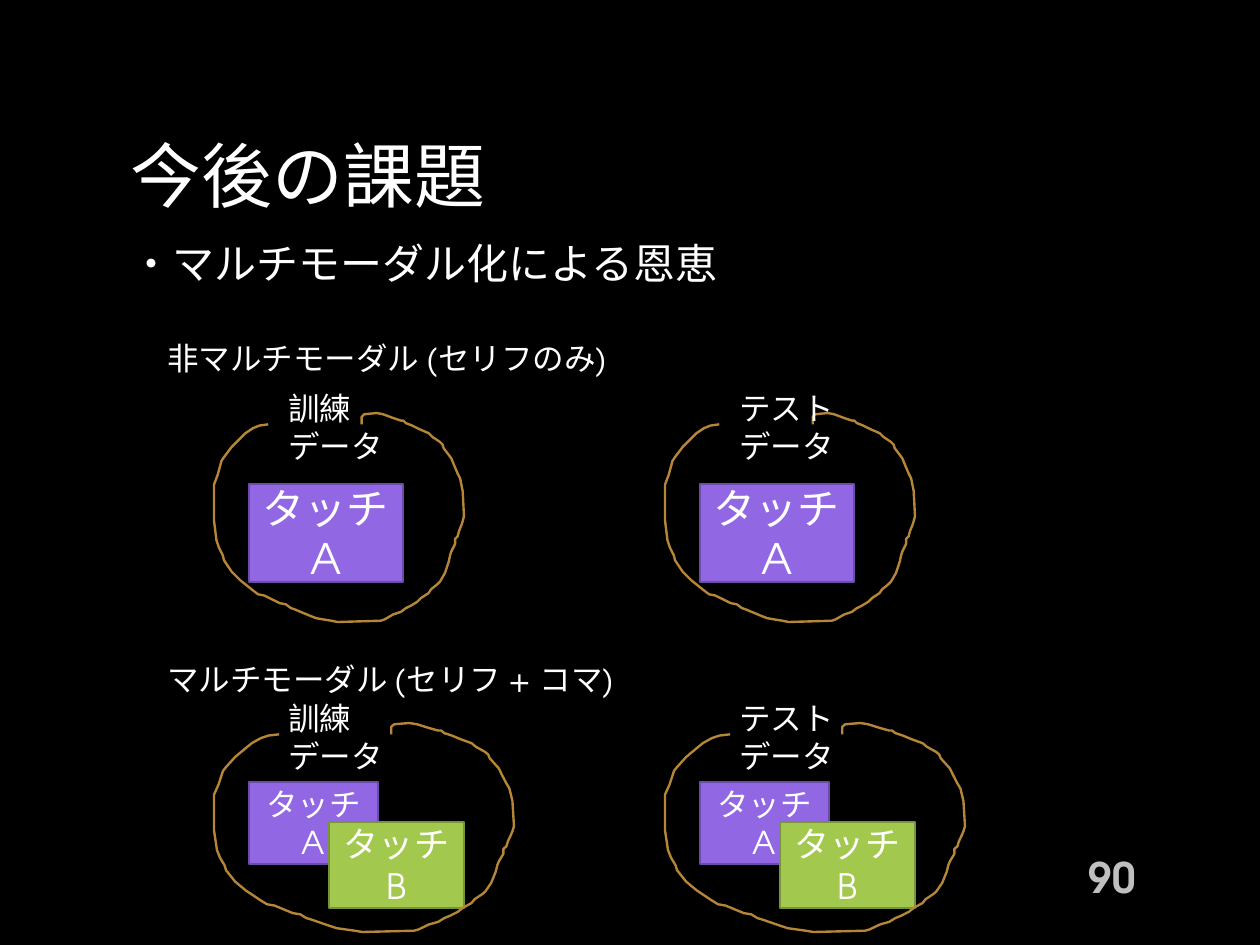
from dataclasses import dataclass

from pptx import Presentation, util as u
from pptx.dml.color import RGBColor
from pptx.enum import shapes, text

PX = u.Inches(1) / 126


@dataclass(frozen=True)
class Theme:
    font: str = "TeX Gyre Adventor"
    background: str = "000000"
    ink: str = "FFFFFF"
    number: str = "BFBFBF"
    ring: str = "B58637"
    violet: tuple = ("9167E3", "6B4CA8")
    green: tuple = ("A2C84E", "78943A")
    title_size: float = 40.5
    large: int = 24
    medium: int = 20
    small: int = 18
    line: float = 1.35


theme = Theme()


def write(shape, words, size, color=theme.ink, align=None, middle=False, bold=None):
    frame = shape.text_frame
    frame.word_wrap = True
    frame.vertical_anchor = text.MSO_ANCHOR.MIDDLE if middle else text.MSO_ANCHOR.TOP
    paragraph = frame.paragraphs[0]
    paragraph.text = words
    paragraph.alignment = align
    paragraph.font.name = theme.font
    paragraph.font.size = u.Pt(size)
    paragraph.font.bold = bold
    paragraph.font.color.rgb = RGBColor.from_string(color)


def emu(*lengths):
    return [round(length * PX) for length in lengths]


deck = Presentation()
deck.slide_width, deck.slide_height = emu(1260, 945)
slide = deck.slides.add_slide(deck.slide_layouts[6])
slide.background.fill.solid()
slide.background.fill.fore_color.rgb = RGBColor.from_string(theme.background)

title = slide.shapes.add_textbox(*emu(118, 118, 1023, 113))
write(title, "今後の課題", theme.title_size, middle=True)
page_number = slide.shapes.add_textbox(*emu(984, 852, 164, 50))
write(page_number, "90", theme.large, theme.number, text.PP_ALIGN.RIGHT, True, True)
lead = slide.shapes.add_textbox(*emu(118, 231, 1094, 63))
write(lead, "・マルチモーダル化による恩恵", theme.large)

# Hand-drawn open ring on a 198 x 166 grid
RING_GRID = (198, 166)
RING = [
    (43, 9), (36, 10), (31, 12), (25, 16), (20, 21), (14, 27), (8, 35), (6, 38),
    (3, 49), (0, 57), (0, 60), (0, 85), (2, 101), (4, 107), (7, 113), (8, 117),
    (10, 120), (14, 126), (16, 128), (21, 133), (31, 141), (35, 144), (40, 145),
    (52, 151), (57, 152), (61, 155), (64, 156), (76, 161), (81, 163), (87, 164),
    (93, 165), (98, 166), (132, 165), (135, 164), (142, 160), (148, 158),
    (152, 155), (156, 153), (161, 150), (164, 147), (170, 143), (172, 140),
    (177, 136), (179, 134), (183, 127), (186, 118), (187, 113), (188, 110),
    (191, 104), (191, 100), (193, 98), (194, 94), (196, 89), (197, 86), (198, 82),
    (197, 62), (195, 52), (193, 48), (190, 41), (188, 36), (185, 32), (182, 28),
    (181, 25), (179, 23), (176, 21), (173, 19), (170, 16), (163, 13), (157, 10),
    (152, 8), (150, 6), (148, 6), (142, 4), (134, 1), (129, 0), (119, 1),
    (117, 3), (117, 9),
]

# Each touch: words, colours, size, then its box relative to the ring
ROWS = [
    ("非マルチモーダル (セリフのみ)", 333, 413, 250,
     [("タッチ A", theme.violet, theme.large, (35, 71, 154, 98))]),
    ("マルチモーダル (セリフ + コマ)", 654, 723, 300,
     [("タッチ A", theme.violet, theme.small, (35, 59, 129, 82)),
      ("タッチ B", theme.green, theme.medium, (115, 99, 135, 86))]),
]
DATA_SETS = [("訓練データ", 214), ("テストデータ", 665)]

for heading_words, heading_top, ring_top, ring_width, touches in ROWS:
    heading = slide.shapes.add_textbox(*emu(155, heading_top, 475, 50))
    write(heading, heading_words, theme.small)

    for data_words, ring_left in DATA_SETS:
        cluster = slide.shapes.add_group_shape().shapes

        for words, (fill, edge), size, (dx, dy, width, height) in touches:
            touch = cluster.add_shape(
                shapes.MSO_SHAPE.RECTANGLE,
                *emu(ring_left + dx, ring_top + dy, width, height))
            touch.shadow.inherit = False
            touch.fill.solid()
            touch.fill.fore_color.rgb = RGBColor.from_string(fill)
            touch.line.color.rgb = RGBColor.from_string(edge)
            touch.line.width = u.Pt(theme.line)
            write(touch, words, size, align=text.PP_ALIGN.CENTER, middle=True)

        scale = (ring_width * PX / RING_GRID[0], 209 * PX / RING_GRID[1])
        pen = cluster.build_freeform(*RING[0], scale=scale)
        pen.add_line_segments(RING[1:], close=False)
        ring = pen.convert_to_shape(*emu(ring_left, ring_top))
        ring.shadow.inherit = False
        ring.fill.background()
        ring.line.color.rgb = RGBColor.from_string(theme.ring)
        ring.line.width = u.Pt(theme.line)

        data_label = cluster.add_textbox(*emu(ring_left + 62, ring_top - 30, 125, 89))
        write(data_label, data_words, theme.small)

deck.save("out.pptx")
